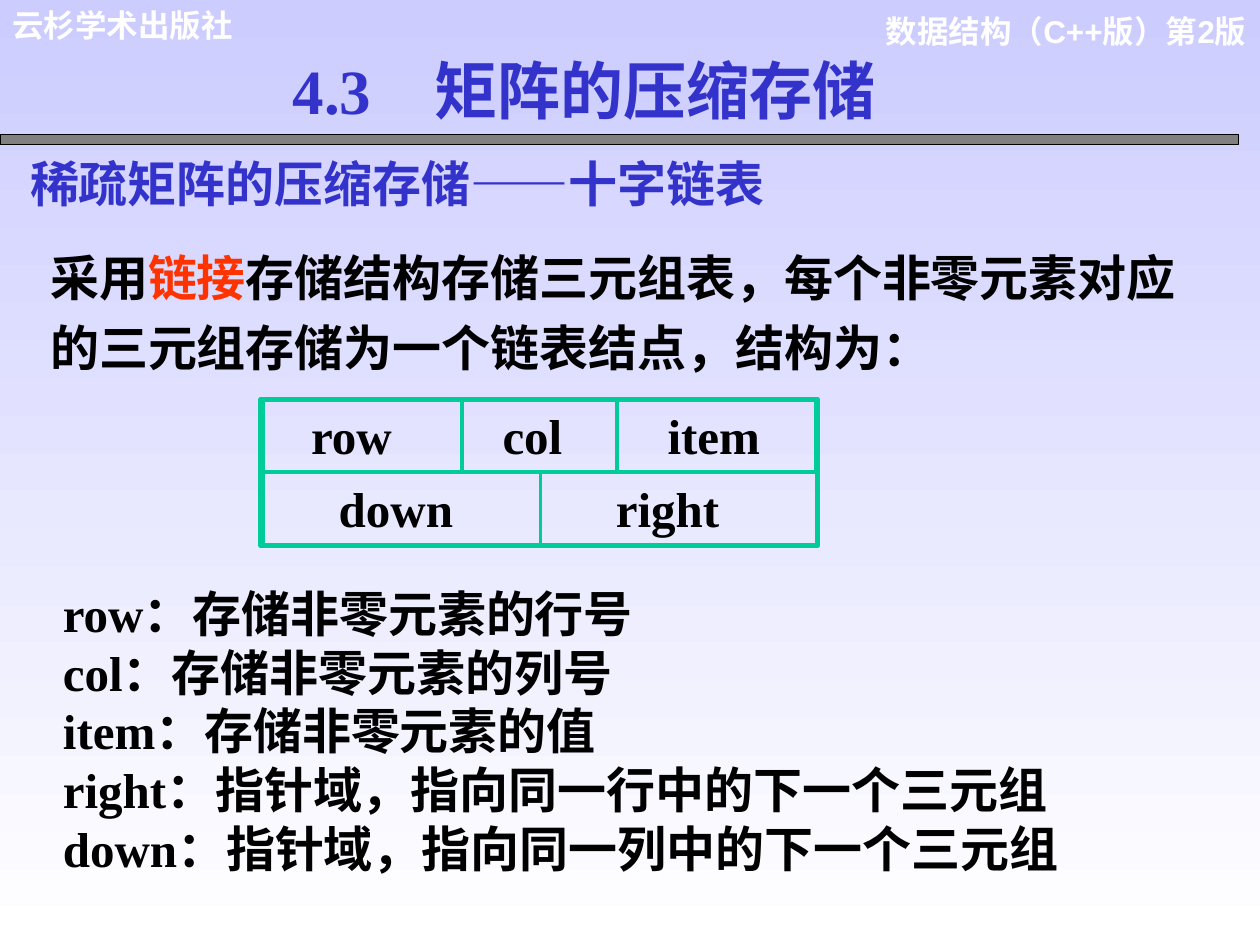
"""Build the slide on orthogonal-list storage of sparse matrices."""
import pptx
import pptx.dml.color
import pptx.enum.shapes
import pptx.enum.text
import pptx.util

Inches, Pt = pptx.util.Inches, pptx.util.Pt
RGBColor = pptx.dml.color.RGBColor
ALIGN = pptx.enum.text.PP_ALIGN
RECTANGLE = pptx.enum.shapes.MSO_SHAPE.RECTANGLE

WHITE = RGBColor(0xFF, 0xFF, 0xFF)
BLACK = RGBColor(0x00, 0x00, 0x00)
LAVENDER = RGBColor(0xCC, 0xCC, 0xFF)
BLUE = RGBColor(0x33, 0x33, 0xCC)
RED = RGBColor(0xFF, 0x33, 0x00)
GREEN = RGBColor(0x00, 0xCC, 0x99)
GRAY = RGBColor(0x80, 0x80, 0x80)
SERIF, SANS, CHINESE = "Times New Roman", "Arial", "Noto Sans CJK SC"

TITLE = "4.3　矩阵的压缩存储"
SUBTITLE = "稀疏矩阵的压缩存储——十字链表"
BOOK = "数据结构（C++版）第2版"
PUBLISHER = "云杉学术出版社"
INTRODUCTION = [
    ("采用", BLACK),
    ("链接", RED),
    ("存储结构存储三元组表，每个非零元素对应的三元组存储为一个链表结点，结构为：", BLACK),
]
FIELDS = [
    "row：存储非零元素的行号",
    "col：存储非零元素的列号",
    "item：存储非零元素的值",
    "right：指针域，指向同一行中的下一个三元组",
    "down：指针域，指向同一列中的下一个三元组",
]
NODE_ROWS = [
    [("row", 1.58, 0.28, 1.08), ("col", 1.23, 0.22, 0.87), ("item", 1.58, 0.3, 1.05)],
    [("down", 2.2, 0.5, 1.84), ("right", 2.2, 0.5, 1.38)],
]
NODE_LEFT, NODE_TOP, CELL_HEIGHT = 2.09, 3.17, 0.58


def write(shape, paragraphs, size, font=SERIF, color=BLACK, align=ALIGN.LEFT, inset=0.1):
    frame = shape.text_frame
    frame.word_wrap = True
    frame.auto_size = pptx.enum.text.MSO_AUTO_SIZE.NONE
    frame.vertical_anchor = pptx.enum.text.MSO_ANCHOR.TOP
    frame.margin_left = frame.margin_right = Inches(inset)
    frame.margin_top = frame.margin_bottom = Inches(0.05)
    frame.text = "\n".join(paragraphs)
    for paragraph in frame.paragraphs:
        paragraph.alignment = align
        paragraph.space_before = Pt(0)
        paragraph.font.name = font
        paragraph.font.size = Pt(size)
        paragraph.font.bold = True
        paragraph.font.color.rgb = color


def add_text(slide, box, paragraphs, size, **style):
    shape = slide.shapes.add_textbox(*map(Inches, box))
    write(shape, paragraphs, size, **style)
    return shape


def add_rectangle(slide, box, line_color, line_width, fill=None):
    shape = slide.shapes.add_shape(RECTANGLE, *map(Inches, box))
    shape.shadow.inherit = False
    if fill is None:
        shape.fill.background()
    else:
        shape.fill.solid()
        shape.fill.fore_color.rgb = fill
    shape.line.color.rgb = line_color
    shape.line.width = Pt(line_width)


def add_introduction(slide):
    shape = add_text(slide, (0.3, 1.82, 9.25, 1.22), [""], 28)
    paragraph = shape.text_frame.paragraphs[0]
    paragraph.line_spacing = 1.2
    for text, color in INTRODUCTION:
        run = paragraph.add_run()
        run.text = text
        run.font.color.rgb = color


def add_node(slide):
    for index, cells in enumerate(NODE_ROWS):
        left, top = NODE_LEFT, NODE_TOP + index * CELL_HEIGHT
        for label, width, offset, label_width in cells:
            add_text(slide, (left + offset, top, label_width, CELL_HEIGHT), [label], 28,
                     align=ALIGN.JUSTIFY)
            add_rectangle(slide, (left, top, width, CELL_HEIGHT), GREEN, 2.25)
            left += width
    add_rectangle(slide, (2.07, NODE_TOP, 4.42, 2 * CELL_HEIGHT), GREEN, 3)


def main():
    presentation = pptx.Presentation()
    presentation.slide_width, presentation.slide_height = Inches(10), Inches(7.5)
    slide = presentation.slides.add_slide(presentation.slide_layouts[5])

    background = slide.background.fill
    background.gradient()
    background.gradient_angle = 270
    for stop, color in zip(background.gradient_stops, (LAVENDER, WHITE)):
        stop.color.rgb = color

    title = slide.shapes.title
    title.left, title.top, title.width, title.height = map(Inches, (2.08, 0.36, 5.11, 0.7))
    write(title, [TITLE], 36, color=BLUE, align=ALIGN.CENTER)

    add_text(slide, (6.92, 0.05, 3.07, 0.7), [BOOK], 18, font=SANS, color=WHITE,
             align=ALIGN.RIGHT)
    add_text(slide, (0, 0, 2.71, 0.4), [PUBLISHER], 18, font=SANS, color=WHITE)
    add_rectangle(slide, (0, 1.07, 9.83, 0.08), BLACK, 0.75, fill=GRAY)
    add_text(slide, (0.14, 1.17, 7.22, 0.57), [SUBTITLE], 28, font=CHINESE, color=BLUE)
    add_introduction(slide)
    add_node(slide)
    add_text(slide, (0.5, 4.58, 8.54, 2.44), FIELDS, 28, inset=0)

    presentation.save("out.pptx")


if __name__ == "__main__":
    main()
